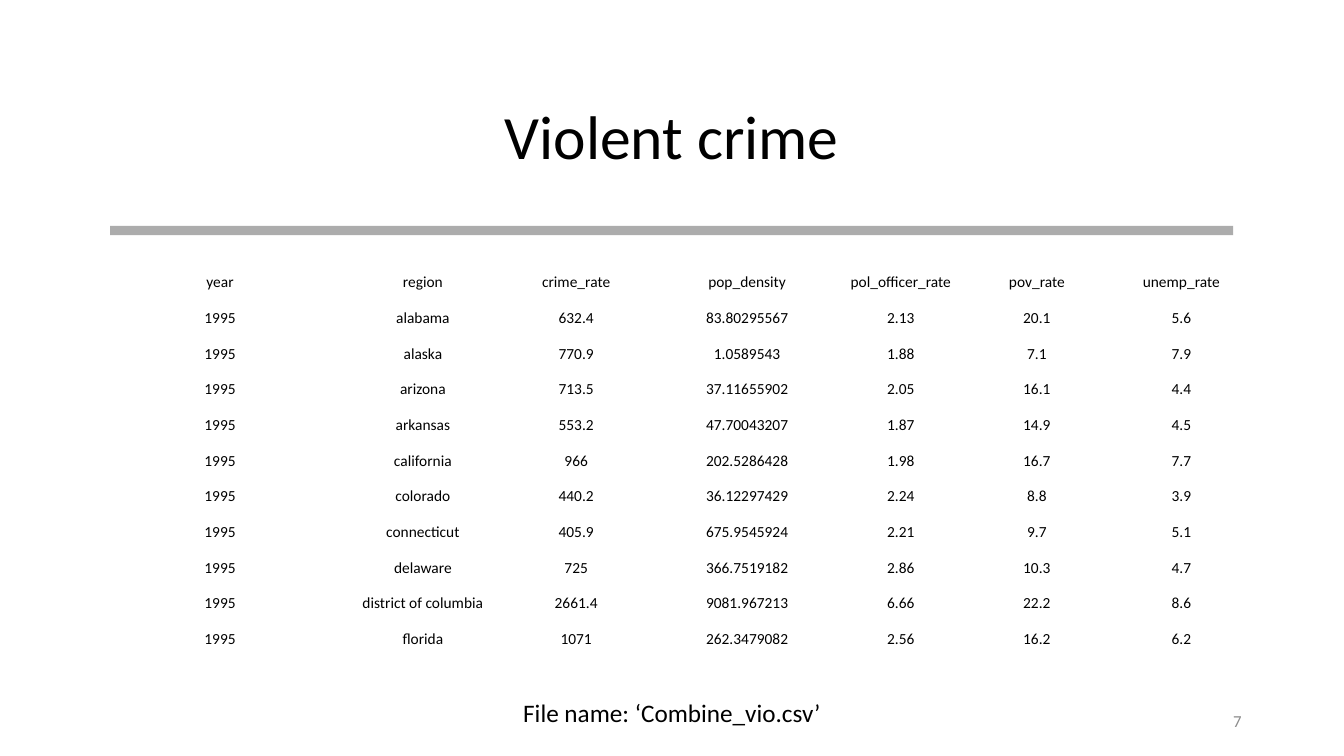
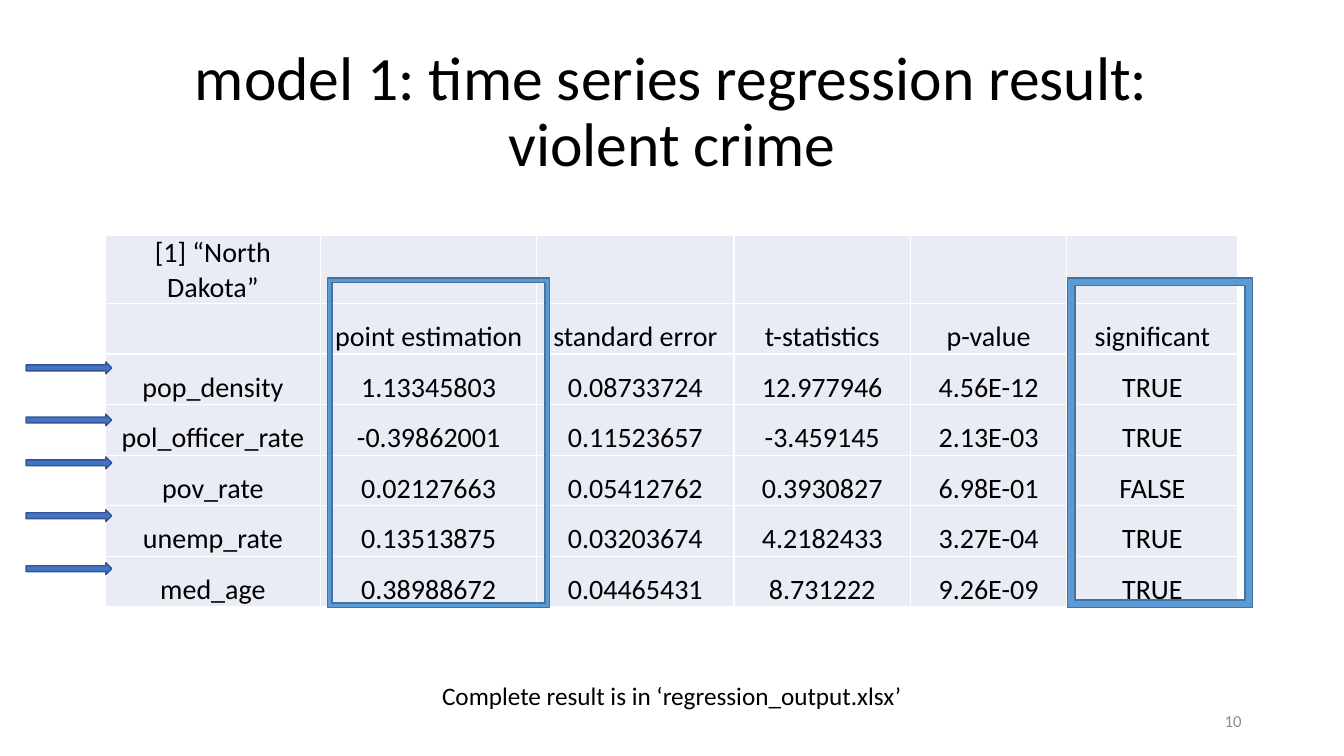
import pptx
import pptx.dml.color
import pptx.enum.shapes
import pptx.enum.text
import pptx.oxml
import pptx.oxml.ns
import pptx.util
from lxml import etree

COLORS = {
    "text": "000000", "number": "8C8C8C", "rule": "808080", "cell": "E9EBF5",
    "frame": "5B9BD5", "frame_line": "43739E", "arrow": "4472C4", "arrow_line": "325491",
}
FONT = "Calibri"
COLUMNS, ROWS = 160, 90  # square grid units, twelve to the inch
UNIT = pptx.util.Inches(1) / 12
ALIGN = pptx.enum.text.PP_ALIGN
ANCHOR = pptx.enum.text.MSO_ANCHOR
SHAPE = pptx.enum.shapes.MSO_SHAPE

CRIME_COLUMNS = [29.6, 18.7, 17.8, 22.9, 13.7, 18.7, 15.7]
CRIME_HEADER = ["year", "region", "crime_rate", "pop_density",
                "pol_officer_rate", "pov_rate", "unemp_rate"]
CRIME_1995 = [
    ["alabama", "632.4", "83.80295567", "2.13", "20.1", "5.6"],
    ["alaska", "770.9", "1.0589543", "1.88", "7.1", "7.9"],
    ["arizona", "713.5", "37.11655902", "2.05", "16.1", "4.4"],
    ["arkansas", "553.2", "47.70043207", "1.87", "14.9", "4.5"],
    ["california", "966", "202.5286428", "1.98", "16.7", "7.7"],
    ["colorado", "440.2", "36.12297429", "2.24", "8.8", "3.9"],
    ["connecticut", "405.9", "675.9545924", "2.21", "9.7", "5.1"],
    ["delaware", "725", "366.7519182", "2.86", "10.3", "4.7"],
    ["district of columbia", "2661.4", "9081.967213", "6.66", "22.2", "8.6"],
    ["florida", "1071", "262.3479082", "2.56", "16.2", "6.2"],
]

RESULT_COLUMNS = [25.7, 25.7, 23.5, 21, 18.6, 20.4]
RESULT_ROWS = [
    ["[1] “North Dakota”", "", "", "", "", ""],
    ["", "point estimation", "standard error", "t-statistics", "p-value", "significant"],
    ["pop_density", "1.13345803", "0.08733724", "12.977946", "4.56E-12", "TRUE"],
    ["pol_officer_rate", "-0.39862001", "0.11523657", "-3.459145", "2.13E-03", "TRUE"],
    ["pov_rate", "0.02127663", "0.05412762", "0.3930827", "6.98E-01", "FALSE"],
    ["unemp_rate", "0.13513875", "0.03203674", "4.2182433", "3.27E-04", "TRUE"],
    ["med_age", "0.38988672", "0.04465431", "8.731222", "9.26E-09", "TRUE"],
]


def grid(*lengths):
    return [pptx.util.Emu(round(length * UNIT)) for length in lengths]


def color(name):
    return pptx.dml.color.RGBColor.from_string(COLORS[name])


def write(frame, text, size, align, color_name="text", spacing=None):
    frame.text = text
    for para in frame.paragraphs:
        para.alignment = align
        para.line_spacing = spacing
        for span in para.runs:
            span.font.name = FONT
            span.font.size = pptx.util.Pt(size)
            span.font.color.rgb = color(color_name)


def add_text(page, area, text, size, align, color_name="text"):
    box = page.shapes.add_textbox(*grid(*area))
    box.text_frame.word_wrap = True
    box.text_frame.vertical_anchor = ANCHOR.MIDDLE
    write(box.text_frame, text, size, align, color_name)


def add_page(deck, title, title_area, number):
    page = deck.slides.add_slide(deck.slide_layouts[5])
    heading = page.shapes.title
    heading.left, heading.top, heading.width, heading.height = grid(*title_area)
    heading.text_frame.auto_size = pptx.enum.text.MSO_AUTO_SIZE.NONE
    heading.text_frame.vertical_anchor = ANCHOR.MIDDLE
    write(heading.text_frame, title, 44, ALIGN.CENTER, spacing=0.9)
    add_text(page, (113, 83.4, 36, 4.8), number, 12, ALIGN.RIGHT, "number")
    return page


def add_caption(page, text, top, width):
    """Write a line centred on the slide."""
    add_text(page, ((COLUMNS - width) / 2, top, width, 4.8), text, 18, ALIGN.CENTER)


def add_data_table(page, left, top, widths, row_height, rows, size, fill=None):
    area = grid(left, top, sum(widths), row_height * len(rows))
    table = page.shapes.add_table(len(rows), len(widths), *area).table
    table.first_row = table.horz_banding = False
    for column, width in zip(table.columns, grid(*widths)):
        column.width = width
    for row, values in zip(table.rows, rows):
        row.height = grid(row_height)[0]
        for cell, value in zip(row.cells, values):
            cell.margin_left = cell.margin_right = cell.margin_top = pptx.util.Inches(0.01)
            cell.margin_bottom = 0
            cell.vertical_anchor = ANCHOR.BOTTOM
            if fill:
                cell.fill.solid()
                cell.fill.fore_color.rgb = color(fill)
            else:
                cell.fill.background()
            write(cell.text_frame, value, size, ALIGN.CENTER)


def add_shape(page, kind, area, fill, line=None):
    shape = page.shapes.add_shape(kind, *grid(*area))
    shape.shadow.inherit = False
    shape.fill.solid()
    shape.fill.fore_color.rgb = color(fill)
    if line:
        shape.line.color.rgb = color(line)
        shape.line.width = pptx.util.Pt(1)
    else:
        shape.line.fill.background()
    return shape


def set_opacity(shape, percent):
    tint = shape.fill._xPr.find(".//" + pptx.oxml.ns.qn("a:srgbClr"))
    etree.SubElement(tint, pptx.oxml.ns.qn("a:alpha"), val=str(percent * 1000))


def add_frame(page, left, width, thickness):
    frame = add_shape(page, SHAPE.FRAME, (left, 33.1, width, 39.2), "frame", "frame_line")
    frame.adjustments[0] = thickness


def build_data_page(deck):
    page = add_page(deck, "Violent crime", (11.4, 7.9, 137.2, 17.4), "7")
    set_opacity(add_shape(page, SHAPE.RECTANGLE, (13.1, 26.9, 133.7, 1.1), "rule"), 65)
    rows = [CRIME_HEADER] + [["1995"] + values for values in CRIME_1995]
    add_data_table(page, 11.4, 30.5, CRIME_COLUMNS, 4.25, rows, 11)
    add_caption(page, "File name: ‘Combine_vio.csv’", 82.4, 38.3)


def build_result_page(deck):
    page = add_page(deck, "model 1: time series regression result:\vviolent crime",
                    (11, 4.8, 138, 17.4), "10")
    add_data_table(page, 12.5, 28, RESULT_COLUMNS, 6.02, RESULT_ROWS, 20, "cell")
    add_frame(page, 127.1, 22, 0.04)
    add_frame(page, 39, 26.4, 0.02)
    add_caption(page, "Complete result is in ‘regression_output.xlsx’", 80.4, 57.7)
    for top in (43.1, 49.3, 54.4, 60.7, 67):
        add_shape(page, SHAPE.RIGHT_ARROW, (3.1, top, 10.2, 1.4), "arrow", "arrow_line")


def main():
    deck = pptx.Presentation()
    deck.slide_width, deck.slide_height = grid(COLUMNS, ROWS)
    build_data_page(deck)
    build_result_page(deck)
    deck.save("out.pptx")


if __name__ == "__main__":
    main()
